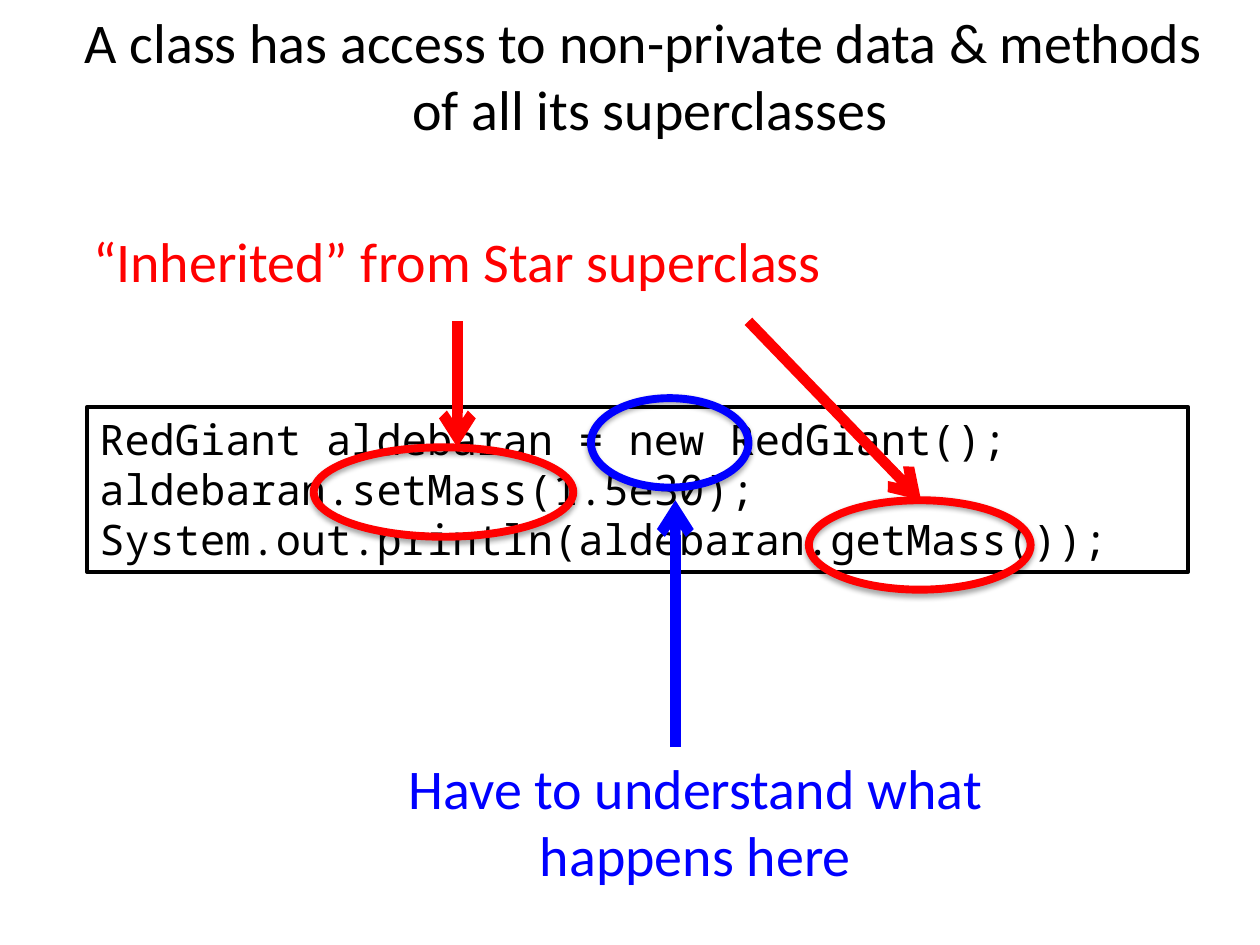
import pptx
import pptx.dml.color
import pptx.enum.shapes
import pptx.enum.text
import pptx.oxml
import pptx.oxml.ns
import pptx.util
from pptx.util import Inches

BLACK = pptx.dml.color.RGBColor(0x00, 0x00, 0x00)
RED = pptx.dml.color.RGBColor(0xFF, 0x00, 0x00)
BLUE = pptx.dml.color.RGBColor(0x00, 0x00, 0xFF)
WHITE = pptx.dml.color.RGBColor(0xFF, 0xFF, 0xFF)

LEFT = pptx.enum.text.PP_ALIGN.LEFT
CENTER = pptx.enum.text.PP_ALIGN.CENTER
NAMESPACE = pptx.oxml.ns.nsdecls("a")
SOFT_SHADOW = (
    f'<a:outerShdw {NAMESPACE} blurRad="39370" dist="22860" dir="5400000" rotWithShape="0">'
    '<a:srgbClr val="000000"><a:alpha val="35000"/></a:srgbClr></a:outerShdw>'
)


class SlideBuilder:
    text_font, text_size = "Calibri", 32
    code_font, code_size = "Noto Sans Mono", 24
    code_line, ring_line, arrow_line = 2.25, 4.5, 6

    def __init__(self, slide):
        self.slide = slide
        slide.background.fill.solid()
        slide.background.fill.fore_color.rgb = WHITE

    def fill_text(self, frame, lines, font, size, color, align):
        frame.text = "\n".join(lines)
        frame.auto_size = pptx.enum.text.MSO_AUTO_SIZE.SHAPE_TO_FIT_TEXT
        for paragraph in frame.paragraphs:
            paragraph.alignment = align
            for run in paragraph.runs:
                run.font.name = font
                run.font.size = pptx.util.Pt(size)
                run.font.color.rgb = color

    def title(self, lines, left, top, width, height):
        heading = self.slide.shapes.title
        heading.left, heading.top = Inches(left), Inches(top)
        heading.width, heading.height = Inches(width), Inches(height)
        heading.text_frame.word_wrap = False
        self.fill_text(heading.text_frame, lines, self.text_font, self.text_size, BLACK, CENTER)

    def remark(self, lines, left, top, width, height, color, align):
        box = self.slide.shapes.add_textbox(
            Inches(left), Inches(top), Inches(width), Inches(height))
        box.text_frame.word_wrap = False
        self.fill_text(box.text_frame, lines, self.text_font, self.text_size, color, align)

    def outline(self, preset, left, top, width, height, color, weight):
        shape = self.slide.shapes.add_shape(
            preset, Inches(left), Inches(top), Inches(width), Inches(height))
        shape.fill.background()
        shape.line.color.rgb = color
        shape.line.width = pptx.util.Pt(weight)
        shape.shadow.inherit = False
        return shape

    def code(self, lines, left, top, width, height):
        rectangle = pptx.enum.shapes.MSO_SHAPE.RECTANGLE
        listing = self.outline(rectangle, left, top, width, height, BLACK, self.code_line)
        listing.text_frame.word_wrap = True
        self.fill_text(listing.text_frame, lines, self.code_font, self.code_size, BLACK, LEFT)
        listing.text_frame.vertical_anchor = pptx.enum.text.MSO_ANCHOR.TOP

    def ring(self, left, top, width, height, color):
        oval = pptx.enum.shapes.MSO_SHAPE.OVAL
        ellipse = self.outline(oval, left, top, width, height, color, self.ring_line)
        effects = ellipse.element.spPr.find(pptx.oxml.ns.qn("a:effectLst"))
        effects.append(pptx.oxml.parse_xml(SOFT_SHADOW))

    def arrow(self, start, end, color):
        pointer = self.slide.shapes.add_connector(
            pptx.enum.shapes.MSO_CONNECTOR.STRAIGHT,
            *(Inches(length) for length in (*start, *end)))
        pointer.line.color.rgb = color
        pointer.line.width = pptx.util.Pt(self.arrow_line)
        properties = pointer.element.spPr
        properties.find(pptx.oxml.ns.qn("a:ln")).append(
            pptx.oxml.parse_xml(f'<a:tailEnd {NAMESPACE} type="arrow"/>'))
        properties.append(pptx.oxml.parse_xml(f"<a:effectLst {NAMESPACE}/>"))


def main():
    presentation = pptx.Presentation()
    presentation.slide_width, presentation.slide_height = Inches(10), Inches(7.5)
    title_only = presentation.slide_layouts[5]
    builder = SlideBuilder(presentation.slides.add_slide(title_only))

    builder.title(["A class has access to non-private data & methods",
                   " of all its superclasses"], 0.52, 0, 9.18, 1.18)
    builder.code(["RedGiant aldebaran = new RedGiant();",
                  "aldebaran.setMass(1.5e30);",
                  "System.out.println(aldebaran.getMass());"], 0.69, 3.23, 8.74, 1.31)
    builder.remark(["“Inherited” from Star superclass"],
                   0.64, 1.75, 6.05, 0.64, RED, LEFT)
    builder.remark(["Have to understand what", "happens here"],
                   3.1, 5.93, 4.84, 1.18, BLUE, CENTER)

    ring_height = 0.71
    callouts = [
        # ring left, top, width; arrow start, end; color
        (4.69, 3.16, 1.25, (5.36, 5.93), (5.36, 3.97), BLUE),
        (2.49, 3.55, 2.06, (3.63, 2.55), (3.63, 3.55), RED),
        (6.42, 3.97, 1.76, (5.94, 2.55), (7.31, 3.97), RED),
    ]
    for left, top, width, start, end, color in callouts:
        builder.ring(left, top, width, ring_height, color)
        builder.arrow(start, end, color)

    presentation.save("out.pptx")


if __name__ == "__main__":
    main()
